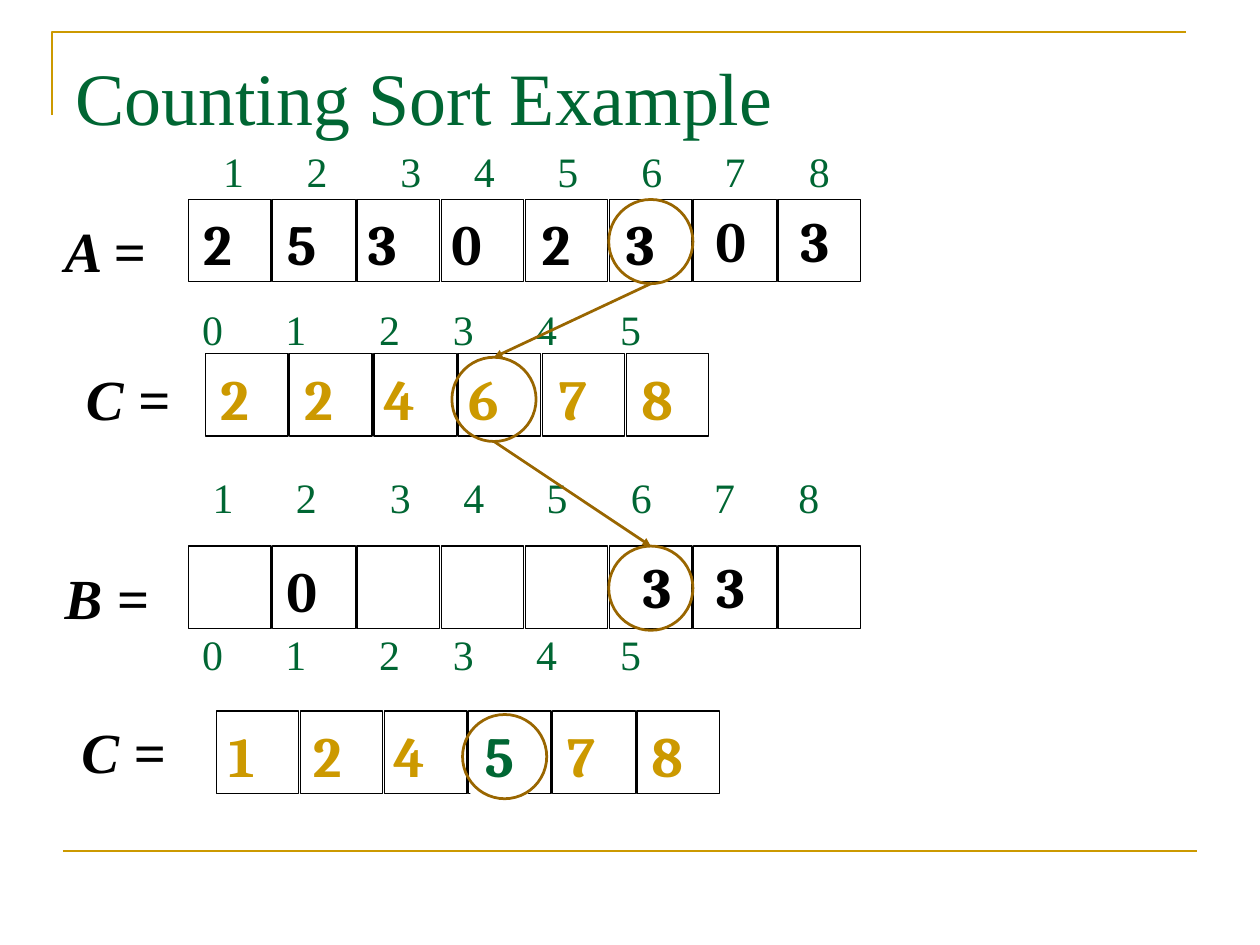
"""Build the counting sort example slide."""
from dataclasses import dataclass

from lxml.etree import SubElement
from pptx import Presentation
from pptx.dml.color import RGBColor
from pptx.enum.shapes import MSO_CONNECTOR as Cxn, MSO_SHAPE as Shp
from pptx.enum.text import MSO_ANCHOR as Anchor, MSO_AUTO_SIZE as Auto, PP_ALIGN as Align
from pptx.oxml.ns import qn
from pptx.util import Inches, Pt

COLORS = {"green": "006633", "gold": "CC9900", "brown": "996600",
          "black": "000000", "white": "FFFFFF"}
SERIF, DIGIT_FONT = "Times New Roman", "Cambria"
CELL, PITCH, RING = 0.93, 0.95, 0.95
DIGIT_X = (0, 0.95, 1.86, 2.81, 3.82, 4.77, 5.79, 6.74)
DIGIT_Y = (0.04,) * 6 + (0, 0)
INDEX_TABS = (0.94, 2.0, 2.83, 3.77, 4.72, 5.66, 6.61)


@dataclass
class ArrayRow:
    """One labelled array with its index line; a space is an empty cell."""
    label: str
    label_x: float
    label_y: float
    x: float
    y: float
    values: str
    color: str
    index_x: float
    index_y: float
    first: int
    align: Align = Align.CENTER


@dataclass
class Ring:
    """A circle around a highlighted cell."""
    x: float
    y: float

    @property
    def mid(self) -> float:
        """Return the horizontal centre."""
        return self.x + RING / 2


ROWS = (
    ArrayRow("A =", 0.59, 2.37, 2.13, 2.25, "25302303", "black", 2.26, 1.42, 1),
    ArrayRow("C =", 0.83, 4.03, 2.32, 3.99, "224678", "gold", 2.02, 3.2, 0),
    ArrayRow("B =", 0.59, 6.28, 2.13, 6.16, " 0    3 ", "black", 2.14, 5.1, 1),
    ArrayRow("C =", 0.78, 8.02, 2.44, 8.02, "124 78", "gold", 2.02, 6.87, 0, Align.LEFT),
)
RINGS = (Ring(6.87, 2.25), Ring(5.1, 4.03), Ring(6.87, 6.16), Ring(5.22, 8.06))


def rgb(name: str) -> RGBColor:
    """Return a named colour."""
    return RGBColor.from_string(COLORS[name])


def set_line(sp, color: str, width: float) -> None:
    """Set the colour and width of an outline."""
    sp.line.color.rgb = rgb(color)
    sp.line.width = Pt(width)


def set_font(p, size: float, name: str, color: str, bold=False, italic=False) -> None:
    """Format a whole paragraph."""
    f = p.font
    f.size, f.name, f.bold, f.italic = Pt(size), name, bold, italic
    f.color.rgb = rgb(color)


def set_insets(tf, left=0.14, top=0.07) -> None:
    """Set the margins of a text frame."""
    tf.margin_left, tf.margin_top = Inches(left), Inches(top)
    tf.margin_right, tf.margin_bottom = Inches(0.14), Inches(0.07)


def add_text(s, text: str, x: float, y: float, w: float):
    """Add a text box one line high."""
    sp = s.shapes.add_textbox(Inches(x), Inches(y), Inches(w), Inches(0.91))
    tf = sp.text_frame
    tf.word_wrap = False
    tf.auto_size = Auto.SHAPE_TO_FIT_TEXT
    set_insets(tf)
    tf.paragraphs[0].text = text
    return sp


def add_digit(s, text: str, x: float, y: float, color: str, align=Align.CENTER):
    """Add the value of one cell."""
    sp = add_text(s, text, x, y, 0.65)
    p = sp.text_frame.paragraphs[0]
    p.alignment = align
    set_font(p, 46, DIGIT_FONT, color, bold=True)
    return sp


def add_outline(s, kind: Shp, x: float, y: float, size: float, color: str, width: float) -> None:
    """Add an unfilled square or circle."""
    sp = s.shapes.add_shape(kind, Inches(x), Inches(y), Inches(size), Inches(size))
    sp.shadow.inherit = False
    sp.fill.background()
    set_line(sp, color, width)


def add_line(s, x1: float, y1: float, x2: float, y2: float, color: str, width: float,
             arrow=False) -> None:
    """Add a straight line, with an arrowhead if wanted."""
    c = s.shapes.add_connector(Cxn.STRAIGHT, Inches(x1), Inches(y1), Inches(x2), Inches(y2))
    set_line(c, color, width)
    if arrow:
        SubElement(c.line._get_or_add_ln(), qn("a:tailEnd"), type="triangle")
    SubElement(c._element.spPr, qn("a:effectLst"))


def add_index(s, row: ArrayRow) -> None:
    """Add the index numbers above an array."""
    numbers = range(row.first, row.first + len(row.values))
    width = 7.4 if len(row.values) == 8 else 5.51
    sp = add_text(s, "\t".join(map(str, numbers)), row.index_x, row.index_y, width)
    tf = sp.text_frame
    tf.auto_size = Auto.NONE
    tf.word_wrap = True
    set_insets(tf, left=0.26, top=0.22)
    p = tf.paragraphs[0]
    tabs = SubElement(p._p.get_or_add_pPr(), qn("a:tabLst"))
    for stop in INDEX_TABS[:len(numbers) - 1]:
        SubElement(tabs, qn("a:tab"), pos=str(Inches(stop)), algn="l")
    set_font(p, 34, SERIF, "green")


def add_row(s, row: ArrayRow) -> None:
    """Draw one array with its label, cells, values and indices."""
    for i in range(len(row.values)):
        add_outline(s, Shp.RECTANGLE, row.x + i * PITCH, row.y, CELL, "black", 1)
    for value, dx, dy in zip(row.values, DIGIT_X, DIGIT_Y):
        if value != " ":
            add_digit(s, value, row.x + dx, row.y + dy, row.color, row.align)
    label = add_text(s, row.label, row.label_x, row.label_y, 1.23)
    set_font(label.text_frame.paragraphs[0], 46, SERIF, "black", bold=True, italic=True)
    add_index(s, row)


def add_frame(s) -> None:
    """Draw the corner line and the bottom rule."""
    fb = s.shapes.build_freeform(Inches(0.59), Inches(1.3))
    fb.add_line_segments([(Inches(0.59), Inches(0.36)), (Inches(13.39), Inches(0.36))], close=False)
    sp = fb.convert_to_shape()
    sp.shadow.inherit = False
    sp.fill.background()
    set_line(sp, "gold", 1.5)
    add_line(s, 0.71, 9.6, 13.51, 9.6, "gold", 1.5)


def add_title(s, text: str) -> None:
    """Fill and place the title."""
    sp = s.shapes.title
    sp.left, sp.top, sp.width, sp.height = map(Inches, (0.71, 0.43, 12.8, 1.77))
    tf = sp.text_frame
    tf.auto_size = Auto.NONE
    tf.vertical_anchor = Anchor.TOP
    set_insets(tf, top=0.15)
    p = tf.paragraphs[0]
    p.text = text
    p.alignment = Align.LEFT
    set_font(p, 60, SERIF, "green")


def main() -> None:
    """Build and save the slide."""
    prs = Presentation()
    prs.slide_width, prs.slide_height = Inches(14.22), Inches(10.66)
    s = prs.slides.add_slide(prs.slide_layouts[5])
    add_frame(s)
    add_title(s, "Counting Sort Example")
    for row in ROWS:
        add_row(s, row)
    add_digit(s, "3", 7.09, 6.16, "black")
    changed = add_digit(s, "5", 5.31, 8.06, "green")
    changed.fill.solid()
    changed.fill.fore_color.rgb = rgb("white")
    for ring in RINGS:
        add_outline(s, Shp.OVAL, ring.x, ring.y, RING, "brown", 2.25)
    for start, end in zip(RINGS[:2], RINGS[1:3]):
        add_line(s, start.mid, start.y + RING, end.mid, end.y, "brown", 2.25, arrow=True)
    prs.save("out.pptx")


if __name__ == "__main__":
    main()
